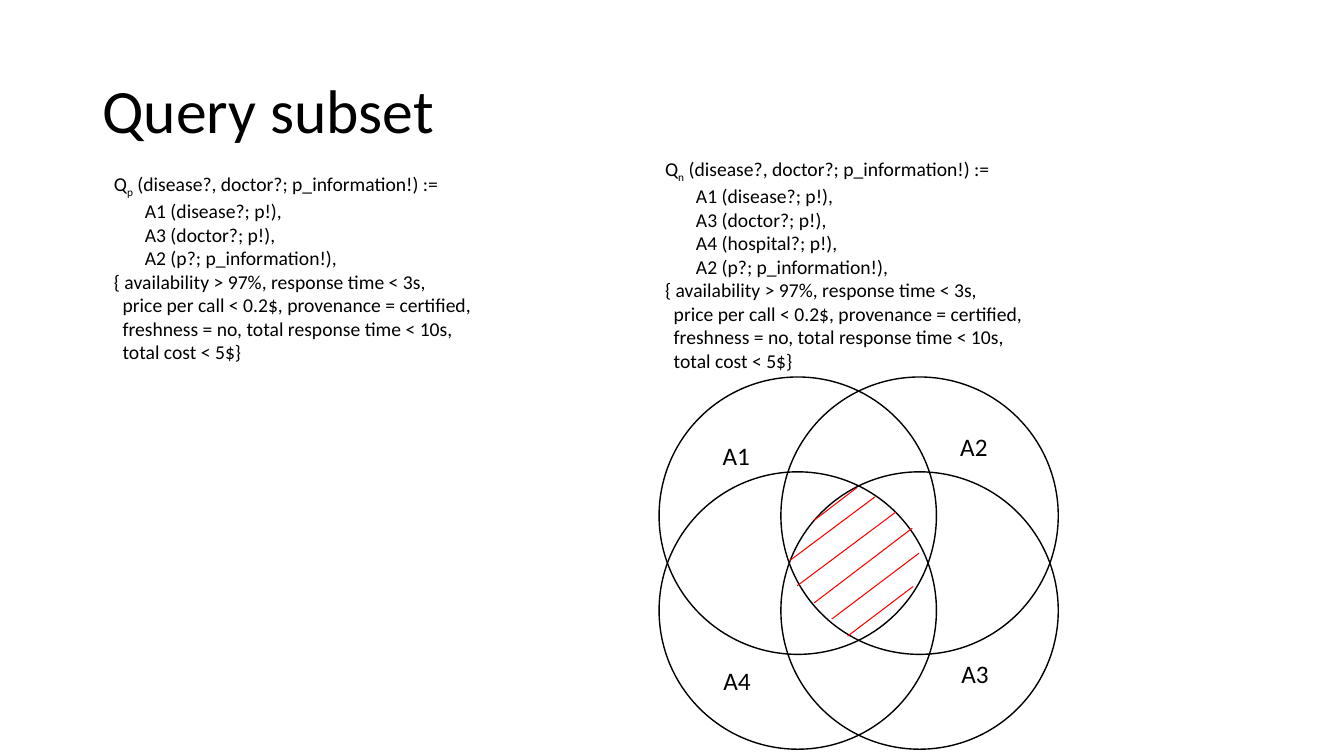
from pptx import Presentation
from pptx.dml.color import RGBColor as RGB
from pptx.enum.shapes import MSO_CONNECTOR as Link, MSO_SHAPE as Form
from pptx.enum.text import MSO_ANCHOR as Anchor, MSO_AUTO_SIZE as Fit
from pptx.oxml.ns import qn
from pptx.util import Cm, Pt
from lxml import etree

inks = {"text": "000000", "ring": "000000", "hatch": "FF0000"}

deck = Presentation()
deck.slide_width, deck.slide_height = Cm(33.87), Cm(19.05)
slide = deck.slides.add_slide(deck.slide_layouts[6])
shapes = slide.shapes


def add_box(left, top, width, height, **frame):
    box = shapes.add_textbox(Cm(left), Cm(top), Cm(width), Cm(height))
    for key, value in frame.items():
        setattr(box.text_frame, key, value)
    return box.text_frame


def add_run(para, text, size, base=0):
    run = para.add_run()
    run.text = text
    for key, value in {"name": "Calibri", "size": Pt(size)}.items():
        setattr(run.font, key, value)
    run.font.color.rgb = RGB.from_string(inks["text"])
    if base:
        run._r.get_or_add_rPr().set("baseline", str(base))


title = add_box(2.33, 1.02, 29.21, 3.68, word_wrap=True, vertical_anchor=Anchor.MIDDLE)
title.paragraphs[0].line_spacing = 0.9
add_run(title.paragraphs[0], "Query subset", 44)

first = ["A1 (disease?; p!),", "A3 (doctor?; p!),"]
last = "A2 (p?; p_information!),"
limits = [
    ("{ availability > 97%, response time < 3s,", 0),
    ("price per call < 0.2$, provenance = certified,", 0.22),
    ("freshness = no, total response time < 10s,", 0.22),
    ("total cost < 5$}", 0.22),
]
queries = [
    ("p", 2.62, 4.22, 5.05, first + [last]),
    ("n", 16.51, 3.84, 5.64, first + ["A4 (hospital?; p!),", last]),
]
for sub, left, top, height, calls in queries:
    frame = add_box(left, top, 9.8, height, word_wrap=True, auto_size=Fit.SHAPE_TO_FIT_TEXT)
    head = frame.paragraphs[0]
    add_run(head, "Q", 14)
    add_run(head, sub, 14, -25000)
    add_run(head, " (disease?, doctor?; p_information!) :=", 14)
    for text, indent in [(call, 0.78) for call in calls] + limits:
        para = frame.add_paragraph()
        para._p.get_or_add_pPr().set("marL", str(Cm(indent)))
        add_run(para, text, 14)

venn = shapes.add_group_shape()
for col, row in [(0, 0), (1, 0), (1, 1), (0, 1)]:
    ring = venn.shapes.add_shape(
        Form.OVAL, Cm(16.61 + 3.07 * col), Cm(9.5 + 2.39 * row), Cm(6.99), Cm(6.99))
    ring.shadow.inherit = False
    ring.fill.background()
    ring.line.color.rgb = RGB.from_string(inks["ring"])
    ring.line.width = Pt(1)

hatches = [
    (20.09, 14.76, 22.58, 12.9),
    (20.52, 15.19, 22.99, 13.31),
    (20.96, 15.6, 23.16, 13.94),
    (21.36, 16.03, 23.01, 14.78),
    (19.91, 14.12, 22.05, 12.52),
    (20.52, 13.11, 21.59, 12.29),
]
for ends in hatches:
    hatch = shapes.add_connector(Link.STRAIGHT, *[Cm(end) for end in ends])
    hatch.line.color.rgb = RGB.from_string(inks["hatch"])
    hatch.line.width = Pt(0.75)
    etree.SubElement(hatch._element.spPr, qn("a:effectLst"))

labels = [
    ("A1", 17.96, 10.97),
    ("A2", 23.95, 10.74),
    ("A4", 17.98, 16.64),
    ("A3", 23.98, 16.46),
]
for text, left, top in labels:
    frame = add_box(left, top, 1.22, 1.02, word_wrap=False, auto_size=Fit.SHAPE_TO_FIT_TEXT)
    add_run(frame.paragraphs[0], text, 18)

deck.save("out.pptx")
